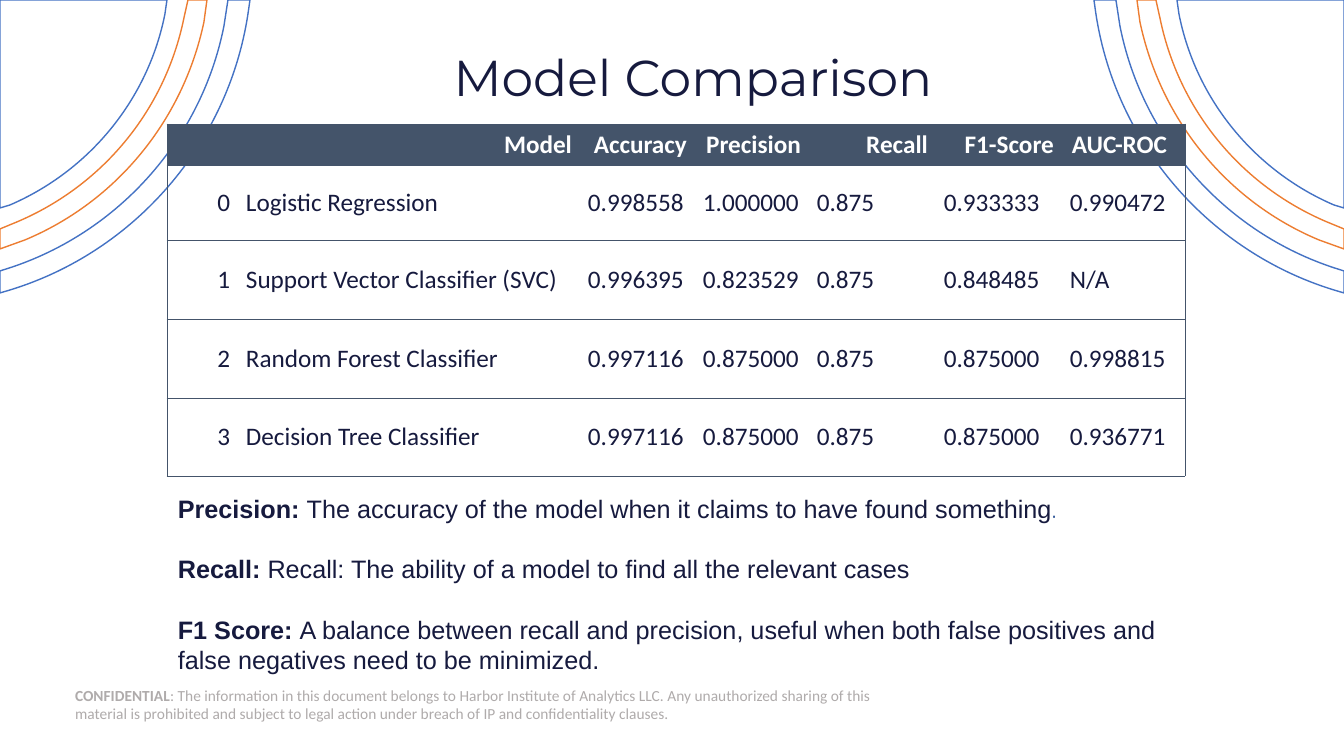
from lxml.etree import SubElement
from pptx import Presentation
from pptx.dml.color import RGBColor
from pptx.enum.shapes import MSO_SHAPE
from pptx.enum.text import MSO_ANCHOR, PP_ALIGN
from pptx.oxml.ns import qn
from pptx.util import Pt

PX = 914400 / 100.8
W, H = 1344, 756
NAVY, SLATE, BLUE, ORANGE = "161A3E", "44546A", "4472C4", "ED7D31"
WHITE, GRAY = "FFFFFF", "AFABAB"


def rgb(value):
    return RGBColor.from_string(value)


def add_run(p, text, color, **fmt):
    r = p.add_run()
    r.text = text
    r.font.color.rgb = rgb(color)
    for name, value in fmt.items():
        setattr(r.font, name, value)


prs = Presentation()
prs.slide_width, prs.slide_height = round(W * PX), round(H * PX)
s = prs.slides.add_slide(prs.slide_layouts[6])

sp = s.shapes.add_shape(MSO_SHAPE.RECTANGLE, *[round(v * PX) for v in (75, 684, 824, 41)])
sp.shadow.inherit = False
sp.fill.solid()
sp.fill.fore_color.rgb = rgb(WHITE)
sp.line.fill.background()
tf = sp.text_frame
footer_format = dict(word_wrap=True, vertical_anchor=MSO_ANCHOR.MIDDLE,
                     margin_left=0, margin_right=0, margin_top=0, margin_bottom=0)
for name, value in footer_format.items():
    setattr(tf, name, value)
p = tf.paragraphs[0]
p.alignment = PP_ALIGN.LEFT
small = dict(name="Calibri", size=Pt(11))
add_run(p, "CONFIDENTIAL", GRAY, bold=True, **small)
add_run(p, ": The information in this document belongs to Harbor Institute of Analytics LLC. "
        "Any unauthorized sharing of this material is prohibited and subject to legal action "
        "under breach of IP and confidentiality clauses.", GRAY, bold=False, **small)

arcs = [
    (BLUE, [(250, 0), (228, 0), (224, 26), (201, 142, 115, 236, 3, 270), (0, 271),
            (0, 293), (10, 290), (134, 252, 228, 145, 248, 14)]),
    (ORANGE, [(207, 0), (188, 0), (184, 18), (165, 111, 102, 186, 17, 222), (0, 229),
              (0, 249), (25, 240), (116, 202, 183, 121, 204, 22)]),
    (BLUE, [(167, 0), (0, 0), (0, 208), (10, 205), (89, 171, 148, 100, 165, 14)]),
]
for mirrored in (False, True):
    for color, steps in arcs:
        points = [((W - x if mirrored else x) * PX, y * PX)
                  for step in steps for x, y in zip(step[::2], step[1::2])]
        fb = s.shapes.build_freeform(*points[0], scale=1.0)
        fb.add_line_segments(points[1:], close=True)
        sp = fb.convert_to_shape()
        segments = iter(list(sp._element.iter(qn("a:lnTo"))))
        for step in steps[1:]:
            segment = next(segments)
            if len(step) == 6:
                segment.tag = qn("a:cubicBezTo")
                for extra in (next(segments), next(segments)):
                    segment.append(extra[0])
                    extra.getparent().remove(extra)
        sp.shadow.inherit = False
        sp.fill.background()
        sp.line.color.rgb = rgb(color)
        sp.line.width = Pt(1)

tf = s.shapes.add_textbox(*[round(v * PX) for v in (42, 41, 1302, 72)]).text_frame
tf.word_wrap = True
p = tf.paragraphs[0]
p.alignment = PP_ALIGN.CENTER
add_run(p, "Model Comparison", NAVY, name="Montserrat", size=Pt(36))

rows = [
    ("", "Model", "Accuracy", "Precision", "Recall", "F1-Score", "AUC-ROC"),
    ("0", "Logistic Regression", "0.998558", "1.000000", "0.875", "0.933333", "0.990472"),
    ("1", "Support Vector Classifier (SVC)", "0.996395", "0.823529", "0.875", "0.848485", "N/A"),
    ("2", "Random Forest Classifier", "0.997116", "0.875000", "0.875", "0.875000", "0.998815"),
    ("3", "Decision Tree Classifier", "0.997116", "0.875000", "0.875", "0.875000", "0.936771"),
]
widths = [71, 342, 115, 114, 127, 126, 123]
heights = [41, 75, 79, 79, 78]
last = len(widths) - 1
frame = s.shapes.add_table(len(rows), len(widths), *[
    round(v * PX) for v in (167, 124, sum(widths), sum(heights))])
table = frame.table
table.first_row = table.horz_banding = False
table._tbl.tblPr[0].text = "{2D5ABB26-0587-4C30-8999-92F81FD0307C}"
for column, width in zip(table.columns, widths):
    column.width = round(width * PX)
for row, height in zip(table.rows, heights):
    row.height = round(height * PX)

for i, values in enumerate(rows):
    for j, value in enumerate(values):
        cell = table.cell(i, j)
        header = i == 0
        side = 10 if header and j == last else 8
        cell_format = dict(vertical_anchor=MSO_ANCHOR.MIDDLE,
                           margin_left=round(side * PX), margin_right=round(side * PX),
                           margin_top=round(4 * PX), margin_bottom=round(4 * PX))
        for name, setting in cell_format.items():
            setattr(cell, name, setting)
        tcPr = cell._tc.get_or_add_tcPr()
        for tag, drawn in (("a:lnL", j == 0), ("a:lnR", j == last),
                           ("a:lnT", True), ("a:lnB", True)):
            if drawn:
                ln = SubElement(tcPr, qn(tag), w=str(Pt(0.5)))
                SubElement(SubElement(ln, qn("a:solidFill")), qn("a:srgbClr"), val=SLATE)
        if header:
            cell.fill.solid()
            cell.fill.fore_color.rgb = rgb(SLATE)
        else:
            cell.fill.background()
        if value:
            p = cell.text_frame.paragraphs[0]
            right = j < last if header else j == 0
            p.alignment = PP_ALIGN.RIGHT if right else PP_ALIGN.LEFT
            add_run(p, value, WHITE if header else NAVY,
                    name="Calibri", size=Pt(18), bold=header)

definitions = [
    ("Precision: ", "The accuracy of the model when it claims to have found something"),
    ("Recall: ", "Recall: The ability of a model to find all the relevant cases"),
    ("F1 Score: ", "A balance between recall and precision, useful when both false positives "
                   "and false negatives need to be minimized."),
]
tf = s.shapes.add_textbox(*[round(v * PX) for v in (168, 488, 1036, 254)]).text_frame
tf.word_wrap = True
body = dict(name="Arial", size=Pt(18))
for i, (term, meaning) in enumerate(definitions):
    p = tf.add_paragraph() if i else tf.paragraphs[0]
    p.space_after = Pt(21.7)
    add_run(p, term, NAVY, bold=True, **body)
    add_run(p, meaning, NAVY, bold=False, **body)
add_run(tf.paragraphs[0], ".", "2F5597", name="Quicksand", size=Pt(18), bold=False)

prs.save("out.pptx")
